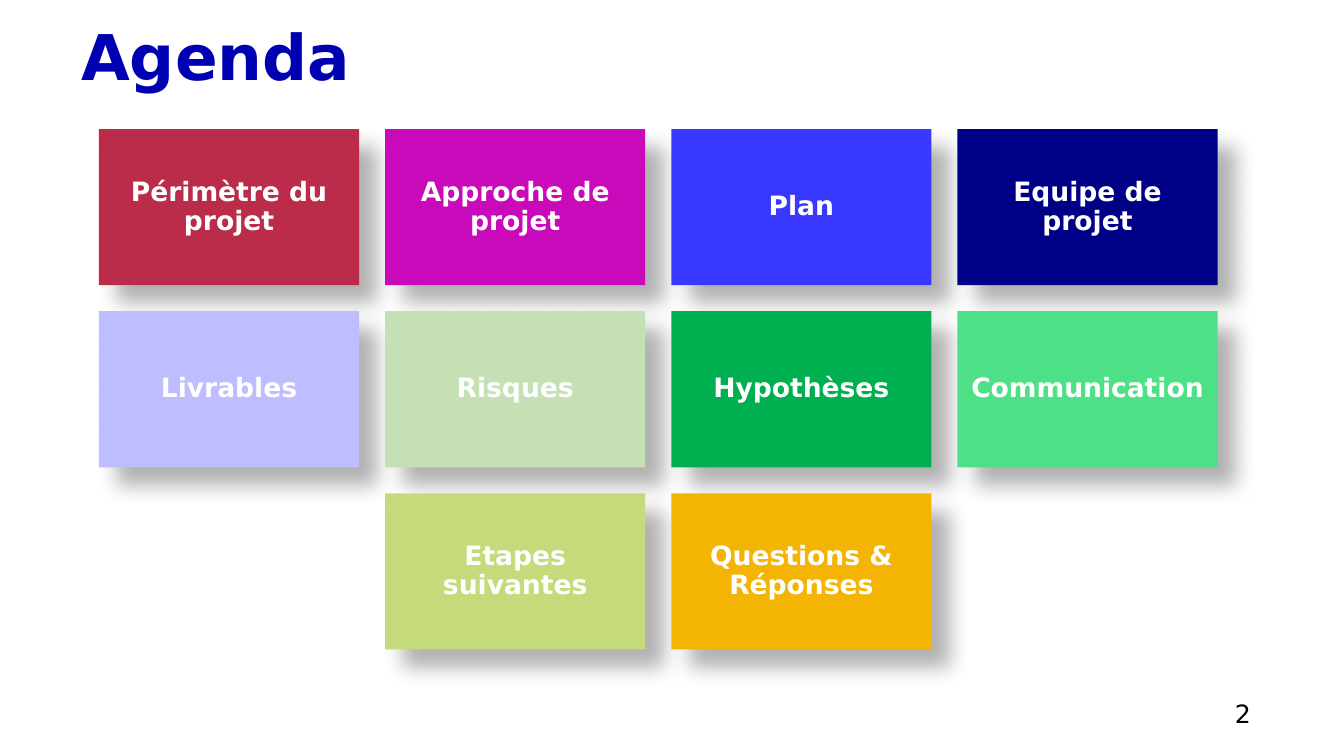
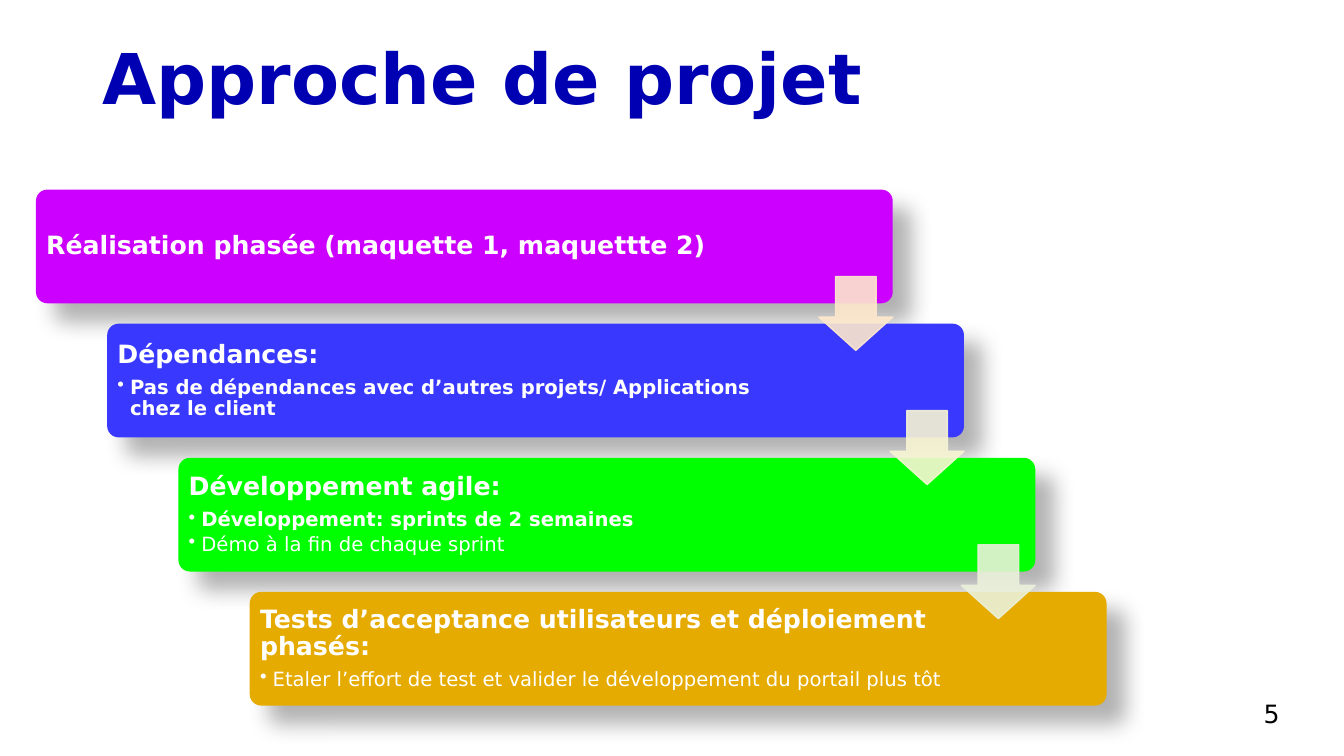
from lxml.etree import SubElement
from pptx import Presentation
from pptx.dml.color import RGBColor
from pptx.enum.shapes import MSO_SHAPE
from pptx.enum.text import MSO_ANCHOR, PP_ALIGN
from pptx.oxml.ns import qn
from pptx.util import Pt

FONT = "DejaVu Sans"
TITLE_COLOR = "0000B3"
WHITE = "FFFFFF"
BLACK = "000000"

AGENDA = [
    [("Périmètre du projet", "BB2C4A"), ("Approche de projet", "C80ABA"),
     ("Plan", "3838FF"), ("Equipe de projet", "000086")],
    [("Livrables", "BDBDFF"), ("Risques", "C5E0B4"),
     ("Hypothèses", "00B050"), ("Communication", "4EE086")],
    [("Etapes suivantes", "C5DA7B"), ("Questions & Réponses", "F3B403")],
]
STEPS = [
    ("CC00FF", "Réalisation phasée (maquette 1, maquettte 2)", []),
    ("3838FF", "Dépendances:",
     [("Pas de dépendances avec d’autres projets/ Applications chez le client", True)]),
    ("00FF00", "Développement agile:",
     [("Développement: sprints de 2 semaines", True),
      ("Démo à la fin de chaque sprint", False)]),
    ("E6AB00", "Tests d’acceptance utilisateurs et déploiement phasés:",
     [("Etaler l’effort de test et valider le développement du portail plus tôt", False)]),
]
ARROW_COLORS = ["FDE8CC", "F7F5D3", "EAF1DA"]


def rgb(value):
    """Turn a hex string into a colour."""
    return RGBColor.from_string(value)


def set_margins(frame, left, top, right, bottom):
    """Set the insets of a text frame, in points."""
    frame.margin_left, frame.margin_top = Pt(left), Pt(top)
    frame.margin_right, frame.margin_bottom = Pt(right), Pt(bottom)


def style(paragraph, size, color, bold=False):
    """Set the font of a paragraph."""
    font = paragraph.font
    font.name, font.size, font.bold = FONT, Pt(size), bold
    font.color.rgb = rgb(color)


def add_text(slide, text, box, size, color, bold=False, margins=(7.2, 3.6, 7.2, 3.6)):
    """Place one line of text in a box."""
    frame = slide.shapes.add_textbox(*map(Pt, box)).text_frame
    frame.word_wrap = True
    set_margins(frame, *margins)
    paragraph = frame.paragraphs[0]
    paragraph.text = text
    paragraph.line_spacing = 0.9
    style(paragraph, size, color, bold)


def add_title(slide, text, left, top, height, size):
    """Place the slide title."""
    add_text(slide, text, (left, top, 828, height), size, TITLE_COLOR, True)


def add_number(slide, number, left):
    """Place the slide number at the foot of the slide."""
    add_text(slide, number, (left, 497, 941 - left, 20), 18, BLACK,
             margins=(8.6, 4.3, 8.6, 4.3))


def add_box(slide, kind, box, color):
    """Place a filled shape without line or shadow."""
    shape = slide.shapes.add_shape(kind, *map(Pt, box))
    shape.fill.solid()
    shape.fill.fore_color.rgb = rgb(color)
    shape.line.fill.background()
    shape.shadow.inherit = False
    return shape


def add_shadow(shape):
    """Give a shape a soft shadow to the lower right."""
    effects = shape._element.spPr.find(qn("a:effectLst"))
    shadow = SubElement(effects, qn("a:outerShdw"), blurRad=str(Pt(15)),
                        dist=str(Pt(18)), dir="2700000", algn="ctr", rotWithShape="0")
    color = SubElement(shadow, qn("a:srgbClr"), val=BLACK)
    SubElement(color, qn("a:alpha"), val="30000")


def add_tile(slide, text, color, box):
    """Place one agenda tile with its centred label."""
    tile = add_box(slide, MSO_SHAPE.RECTANGLE, box, color)
    add_shadow(tile)
    frame = tile.text_frame
    frame.word_wrap = True
    frame.vertical_anchor = MSO_ANCHOR.MIDDLE
    set_margins(frame, 5.8, 5.8, 5.8, 5.8)
    paragraph = frame.paragraphs[0]
    paragraph.text = text
    paragraph.alignment = PP_ALIGN.CENTER
    paragraph.line_spacing = 0.9
    style(paragraph, 19, WHITE, True)


def add_tiles(slide, rows, left, top, width, height, gap):
    """Lay out rows of tiles, each row centred under the longest."""
    columns = max(map(len, rows))
    for row, tiles in enumerate(rows):
        shift = (columns - len(tiles)) / 2
        for column, (text, color) in enumerate(tiles):
            box = (left + (column + shift) * (width + gap),
                   top + row * (height + gap), width, height)
            add_tile(slide, text, color, box)


def add_bullet(paragraph):
    """Give a paragraph a bullet with a hanging indent."""
    properties = paragraph._p.get_or_add_pPr()
    properties.set("marL", str(Pt(9)))
    properties.set("indent", str(-Pt(9)))
    SubElement(properties, qn("a:buChar"), char="•")


def add_step(slide, heading, points, color, box):
    """Place one step with its heading and bullet points."""
    step = add_box(slide, MSO_SHAPE.ROUNDED_RECTANGLE, box, color)
    step.adjustments[0] = 0.1
    add_shadow(step)
    frame = step.text_frame
    frame.word_wrap = True
    frame.vertical_anchor = MSO_ANCHOR.MIDDLE
    set_margins(frame, 5, 5, 109, 5)
    paragraph = frame.paragraphs[0]
    paragraph.text = heading
    paragraph.alignment = PP_ALIGN.LEFT
    paragraph.line_spacing = 0.9
    paragraph.space_after = Pt(6.3)
    style(paragraph, 18, WHITE, True)
    for text, bold in points:
        paragraph = frame.add_paragraph()
        paragraph.text = text
        paragraph.alignment = PP_ALIGN.LEFT
        paragraph.line_spacing = 0.9
        paragraph.space_after = Pt(2.1)
        add_bullet(paragraph)
        style(paragraph, 14, WHITE, bold)


def add_arrow(slide, color, left, top, size):
    """Place a slightly transparent arrow pointing down."""
    arrow = add_box(slide, MSO_SHAPE.DOWN_ARROW, (left, top, size, size), color)
    arrow.adjustments[0], arrow.adjustments[1] = 0.55, 0.45
    arrow.line.width = Pt(1)
    arrow.line.color.rgb = rgb(color)
    for element in arrow._element.spPr.iter(qn("a:srgbClr")):
        SubElement(element, qn("a:alpha"), val="90000")


def add_staircase(slide, left, top, width, height, shift, gap):
    """Lay out the steps as a staircase with an arrow across each gap."""
    size = 52.8
    for index, (color, heading, points) in enumerate(STEPS):
        box = (left + index * shift, top + index * (height + gap), width, height)
        add_step(slide, heading, points, color, box)
    for index, color in enumerate(ARROW_COLORS):
        middle = top + index * (height + gap) + height + gap / 2
        add_arrow(slide, color, left + index * shift + width - size,
                  middle - size / 2, size)


def build_agenda(slide):
    """Build the agenda slide."""
    add_title(slide, "Agenda", 51, 15, 55, 45)
    add_tiles(slide, AGENDA, 70.7, 92.2, 185.8, 111.5, 18.6)
    add_number(slide, "2", 873.5)


def build_approach(slide):
    """Build the project approach slide."""
    add_title(slide, "Approche de projet", 66, 28, 176, 50)
    add_staircase(slide, 25.7, 135.4, 612, 81.2, 50.9, 14.6)
    add_number(slide, "5", 894)


def main():
    """Build and save the presentation."""
    presentation = Presentation()
    presentation.slide_width, presentation.slide_height = Pt(960), Pt(540)
    for build in (build_agenda, build_approach):
        build(presentation.slides.add_slide(presentation.slide_layouts[6]))
    presentation.save("out.pptx")


if __name__ == "__main__":
    main()
